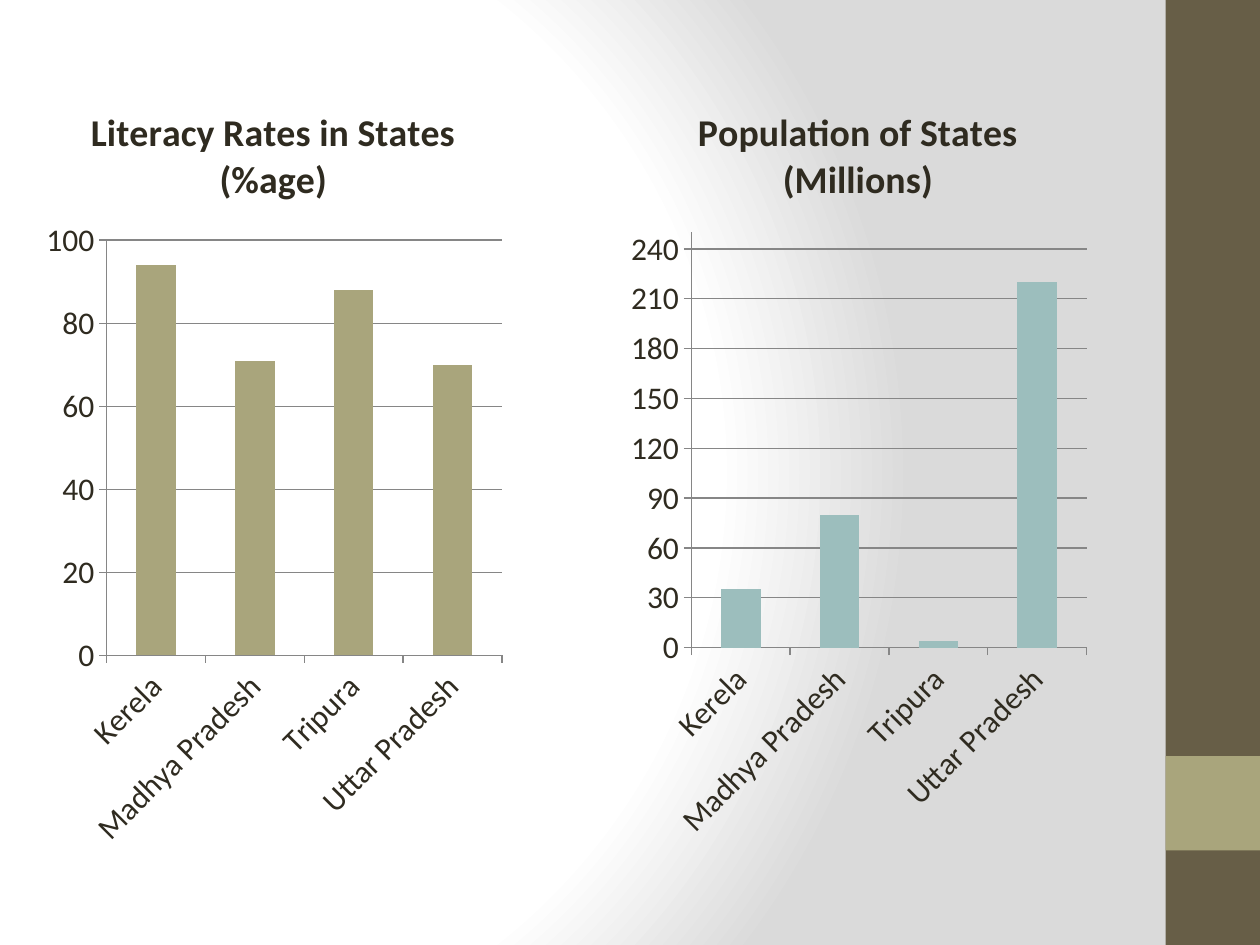
from dataclasses import dataclass

from lxml import etree
from pptx import Presentation
from pptx import util as u
from pptx.chart import data as cd
from pptx.dml.color import RGBColor
from pptx.enum import chart as ec
from pptx.enum import shapes as es
from pptx.oxml import parse_xml
from pptx.oxml.ns import nsdecls, qn


@dataclass(frozen=True)
class Theme:
    font: str = "Calibri"
    ink: str = "2F2B20"
    dark: str = "675E47"
    olive: str = "A9A57C"
    teal: str = "9CBEBD"
    grid: str = "868686"
    white: str = "FFFFFF"
    fade: str = "DADADA"
    body: float = 18
    head: float = 21.6


THEME = Theme()
STATES = ["Kerela", "Madhya Pradesh", "Tripura", "Uttar Pradesh"]


def color(code):
    return RGBColor.from_string(code)


def style(font, size, bold=False):
    font.name = THEME.font
    font.size = u.Pt(size)
    font.bold = bold
    font.color.rgb = color(THEME.ink)


def backdrop(slide):
    slide.background.fill.solid()
    props = slide.element.find(".//" + qn("p:bgPr"))
    stops = [(0, THEME.white), (75, THEME.white), (100, THEME.fade)]
    marks = "".join(
        f'<a:gs pos="{pos * 1000}"><a:srgbClr val="{code}"/></a:gs>'
        for pos, code in stops
    )
    props.replace(props[0], parse_xml(
        f'<a:gradFill {nsdecls("a")} rotWithShape="1"><a:gsLst>{marks}</a:gsLst>'
        '<a:path path="circle"><a:fillToRect l="20000" t="50000" r="100000" '
        'b="50000"/></a:path></a:gradFill>'
    ))


def block(slide, box, code):
    shape = slide.shapes.add_shape(es.MSO_SHAPE.RECTANGLE, *map(u.Inches, box))
    shape.shadow.inherit = False
    shape.fill.solid()
    shape.fill.fore_color.rgb = color(code)
    shape.line.fill.background()


def sidebar(slide, box):
    left, top, width, height = box
    block(slide, box, THEME.dark)
    block(slide, (left, top + height * 0.8, width, width), THEME.olive)


def place(plot, frame):
    area = plot.find(".//" + qn("c:plotArea"))
    for old in area.findall(qn("c:layout")):
        area.remove(old)
    layout = etree.Element(qn("c:layout"))
    manual = etree.SubElement(layout, qn("c:manualLayout"))
    pairs = [("layoutTarget", "inner"), ("xMode", "edge"), ("yMode", "edge")]
    for tag, val in pairs + list(zip("xywh", frame)):
        etree.SubElement(manual, qn(f"c:{tag}")).set("val", str(val))
    area.insert(0, layout)


def bars(slide, box, title, values, code, top, step, frame):
    data = cd.CategoryChartData()
    data.categories = STATES
    data.add_series("Series 1", values)
    chart = slide.shapes.add_chart(
        ec.XL_CHART_TYPE.COLUMN_CLUSTERED, *map(u.Inches, box), data
    ).chart
    style(chart.font, THEME.body)
    chart.has_legend = False
    chart.has_title = True
    run = chart.chart_title.text_frame.paragraphs[0].add_run()
    run.text = title
    style(run.font, THEME.head, True)

    plot = chart.plots[0]
    plot.gap_width = 150
    plot.vary_by_categories = False
    fill = plot.series[0].format.fill
    fill.solid()
    fill.fore_color.rgb = color(code)

    scale = chart.value_axis
    scale.minimum_scale = 0
    scale.maximum_scale = top
    scale.major_unit = step
    scale.has_major_gridlines = True
    names = chart.category_axis
    for axis in (scale, names):
        axis.major_tick_mark = ec.XL_TICK_MARK.OUTSIDE
        style(axis.tick_labels.font, THEME.body)
    for part in (scale, names, scale.major_gridlines):
        part.format.line.color.rgb = color(THEME.grid)
        part.format.line.width = u.Pt(0.75)
    names.tick_labels.font
    names._element.find(".//" + qn("a:bodyPr")).set("rot", "-2700000")
    place(chart._chartSpace, frame)


def main():
    deck = Presentation()
    deck.slide_width, deck.slide_height = u.Inches(10), u.Inches(7.5)
    slide = deck.slides.add_slide(deck.slide_layouts[6])
    backdrop(slide)
    sidebar(slide, (9.25, 0, 0.75, 7.5))
    bars(slide, (0.28, 0.6, 3.78, 6.22), "Literacy Rates in States (%age)",
         (94, 71, 88, 70), THEME.olive, 100, 20, (0.15, 0.21, 0.83, 0.53))
    bars(slide, (4.92, 0.6, 3.78, 6.22), "Population of States (Millions)",
         (35, 80, 4, 220), THEME.teal, 250, 30, (0.15, 0.2, 0.83, 0.53))
    deck.save("out.pptx")


if __name__ == "__main__":
    main()
